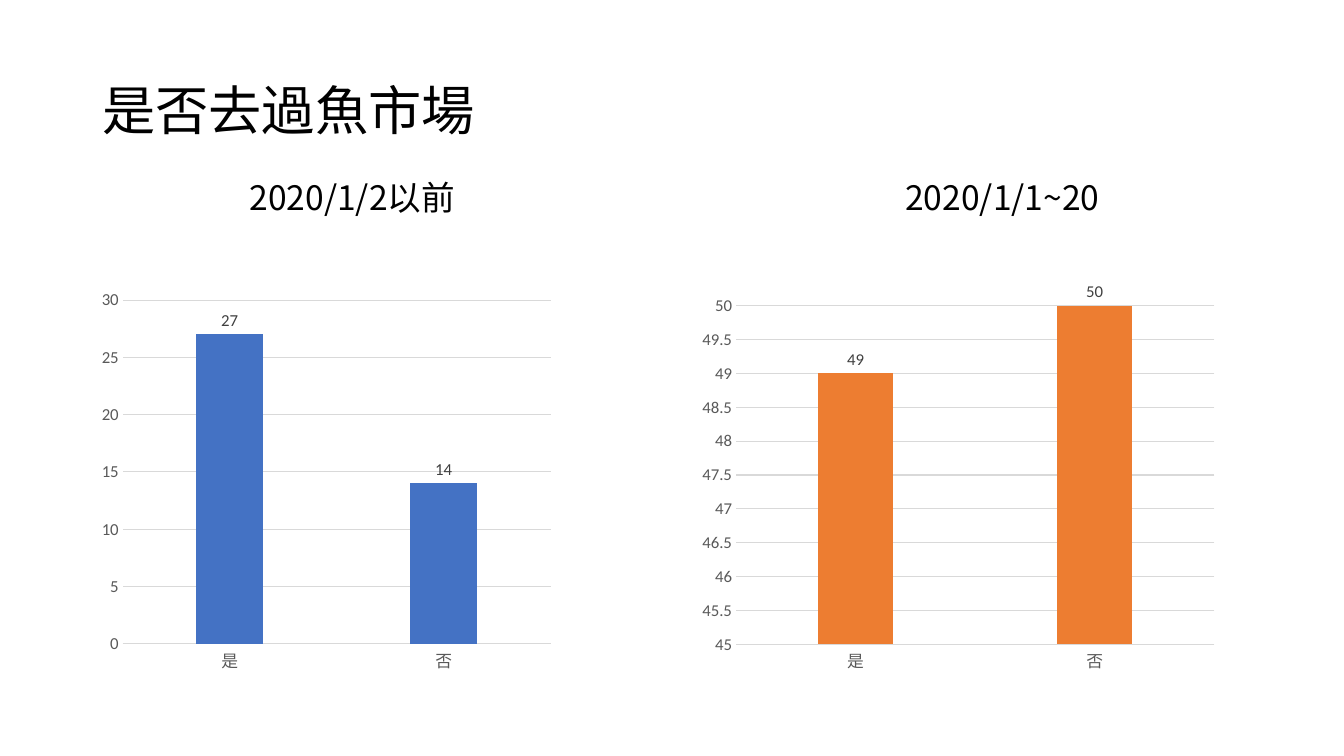
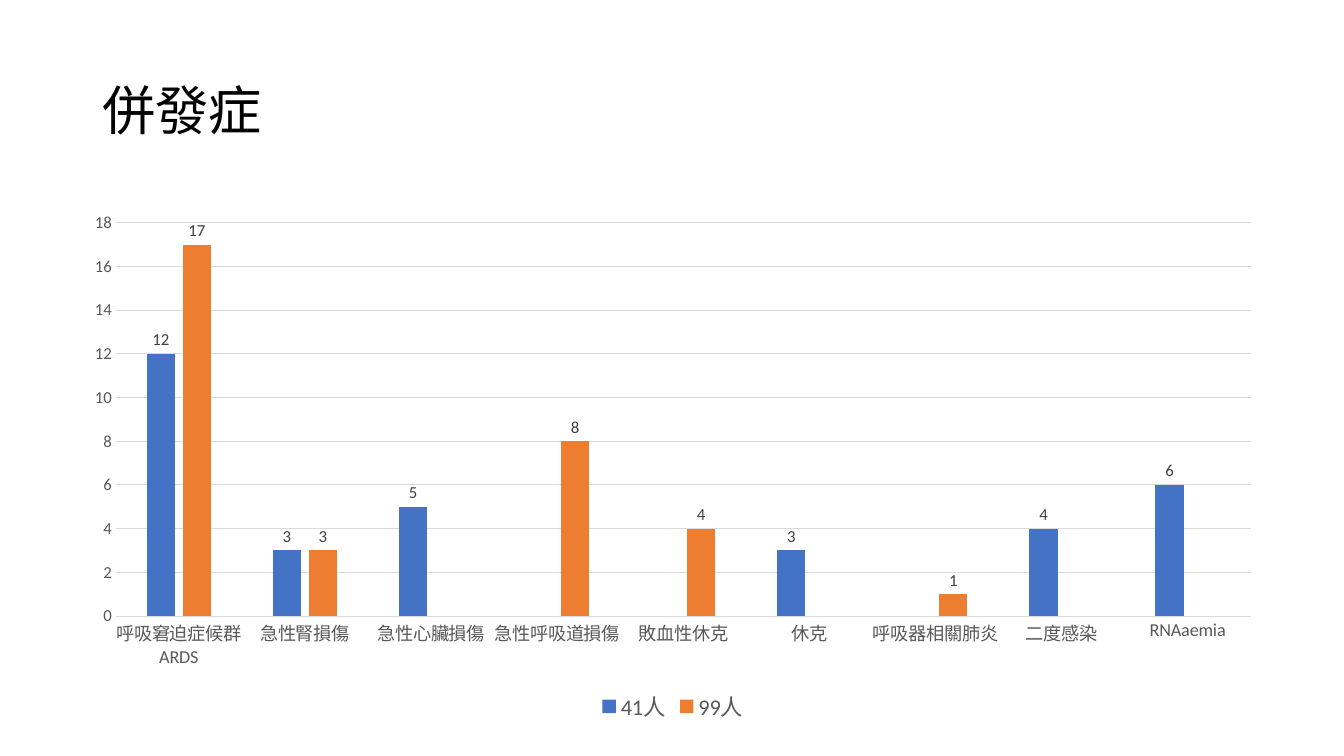
from pptx import Presentation
from pptx.chart.data import CategoryChartData
from pptx.dml.color import RGBColor
from pptx.enum.chart import XL_CHART_TYPE, XL_LABEL_POSITION, XL_LEGEND_POSITION, XL_TICK_MARK
from pptx.enum.text import MSO_ANCHOR, PP_ALIGN
from pptx.oxml.ns import qn
from pptx.util import Pt

COLUMNS = XL_CHART_TYPE.COLUMN_CLUSTERED
OUTSIDE_END = XL_LABEL_POSITION.OUTSIDE_END
LEGEND_BOTTOM = XL_LEGEND_POSITION.BOTTOM
NO_TICK = XL_TICK_MARK.NONE
MIDDLE, TOP = MSO_ANCHOR.MIDDLE, MSO_ANCHOR.TOP
LEFT, CENTER = PP_ALIGN.LEFT, PP_ALIGN.CENTER

BLACK = RGBColor(0x00, 0x00, 0x00)
AXIS_GRAY = RGBColor(0x59, 0x59, 0x59)
LABEL_GRAY = RGBColor(0x40, 0x40, 0x40)
GRID_GRAY = RGBColor(0xD9, 0xD9, 0xD9)
BLUE = RGBColor(0x44, 0x72, 0xC4)
ORANGE = RGBColor(0xED, 0x7D, 0x31)

TEXT_FONT = "Noto Sans CJK SC"
CHART_FONT = "Calibri"
TITLE_BOX = (66, 29, 828, 104)


def add_text(slide, box, text, size, align=LEFT, anchor=TOP, spacing=1.0):
    shape = slide.shapes.add_textbox(*map(Pt, box))
    frame = shape.text_frame
    frame.word_wrap = True
    frame.vertical_anchor = anchor
    paragraph = frame.paragraphs[0]
    paragraph.alignment = align
    paragraph.line_spacing = spacing
    run = paragraph.add_run()
    run.text = text
    run.font.size = Pt(size)
    run.font.color.rgb = BLACK
    run.font.name = TEXT_FONT
    # The same face for East Asian characters
    east_asian = run.font._element.makeelement(qn("a:ea"), {"typeface": TEXT_FONT})
    run.font._element.append(east_asian)


def add_columns(slide, box, categories, series_list, scale, category_size=12, overlap=0):
    data = CategoryChartData()
    data.categories = categories
    for name, values, _ in series_list:
        data.add_series(name, values)
    chart = slide.shapes.add_chart(COLUMNS, *map(Pt, box), data).chart
    chart.has_title = False
    chart.has_legend = False
    chart.font.name = CHART_FONT
    chart.font.size = Pt(10)
    chart.font.color.rgb = BLACK

    # Axes
    value_axis, category_axis = chart.value_axis, chart.category_axis
    for axis, size in ((value_axis, 12), (category_axis, category_size)):
        axis.major_tick_mark = axis.minor_tick_mark = NO_TICK
        axis.tick_labels.font.name = CHART_FONT
        axis.tick_labels.font.size = Pt(size)
        axis.tick_labels.font.color.rgb = AXIS_GRAY
    value_axis.minimum_scale, value_axis.maximum_scale, value_axis.major_unit = scale
    value_axis.has_major_gridlines = True
    value_axis.format.line.fill.background()
    for line in (value_axis.major_gridlines.format.line, category_axis.format.line):
        line.color.rgb = GRID_GRAY
        line.width = Pt(0.75)

    # Columns and their labels
    plot = chart.plots[0]
    plot.gap_width = 219
    plot.overlap = overlap
    plot.vary_by_categories = False
    for series, (_, _, color) in zip(plot.series, series_list):
        series.format.fill.solid()
        series.format.fill.fore_color.rgb = color
        labels = series.data_labels
        labels.show_value = True
        labels.position = OUTSIDE_END
        labels.font.name = CHART_FONT
        labels.font.size = Pt(12)
        labels.font.color.rgb = LABEL_GRAY
    return chart


presentation = Presentation()
presentation.slide_width = Pt(960)
presentation.slide_height = Pt(540)
blank_layout = presentation.slide_layouts[6]

slides = []
for title in ("是否去過魚市場", "併發症"):
    slide = presentation.slides.add_slide(blank_layout)
    add_text(slide, TITLE_BOX, title, 38, anchor=MIDDLE, spacing=0.9)
    slides.append(slide)
market_slide, complication_slide = slides

# Slide 1: fish market visits in two periods
# heading, heading left and width, chart left and width, values, colour, scale
periods = [
    ("2020/1/2以前", 124.5, 254, 66, 334, (27, 14), BLUE, (0, 30, 5)),
    ("2020/1/1~20", 581, 270, 494, 381, (49, 50), ORANGE, (45, 50, 0.5)),
]
for heading, text_left, text_width, left, width, values, color, scale in periods:
    add_columns(market_slide, (left, 201.5, width, 285), ("是", "否"),
                [("Series 1", values, color)], scale)
    add_text(market_slide, (text_left, 122.5, text_width, 36), heading, 24, align=CENTER)

# Slide 2: complications in two patient groups
complications = [
    ("呼吸窘迫症候群\nARDS", 12, 17),
    ("急性腎損傷", 3, 3),
    ("急性心臟損傷", 5, None),
    ("急性呼吸道損傷", None, 8),
    ("敗血性休克", None, 4),
    ("休克", 3, None),
    ("呼吸器相關肺炎", None, 1),
    ("二度感染", 4, None),
    ("RNAaemia", 6, None),
]
names, group_41, group_99 = zip(*complications)
chart = add_columns(complication_slide, (50.5, 144.5, 860, 374.5), names,
                    [("41人", group_41, BLUE), ("99人", group_99, ORANGE)],
                    (0, 18, 2), category_size=13, overlap=-27)
chart.has_legend = True
chart.legend.position = LEGEND_BOTTOM
chart.legend.include_in_layout = False
chart.legend.font.name = CHART_FONT
chart.legend.font.size = Pt(16)
chart.legend.font.color.rgb = AXIS_GRAY

presentation.save("out.pptx")
